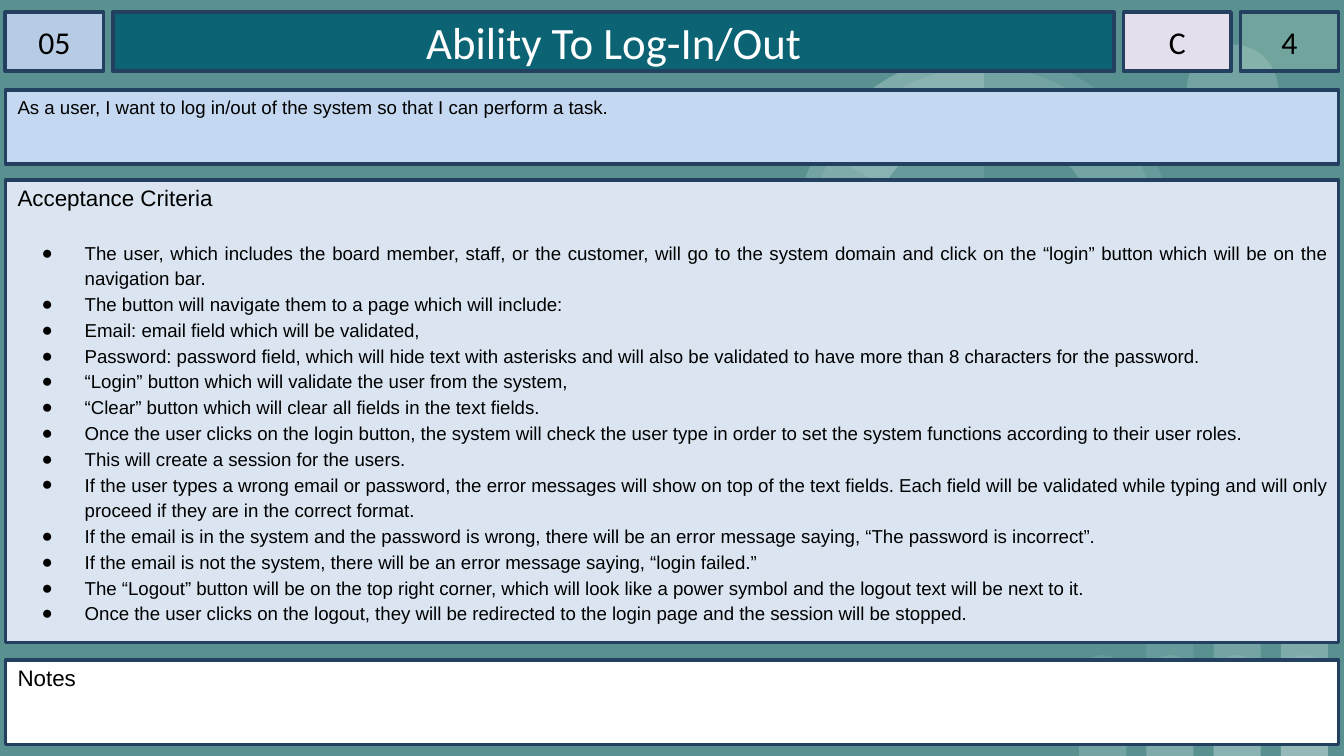
import pptx
import pptx.util
import pptx.dml.color
import pptx.enum.shapes
import pptx.enum.text
import pptx.oxml.ns
import lxml.etree

Inches = pptx.util.Inches
Pt = pptx.util.Pt
SHAPE = pptx.enum.shapes.MSO_SHAPE
ALIGN = pptx.enum.text.PP_ALIGN
ANCHOR = pptx.enum.text.MSO_ANCHOR
qn = pptx.oxml.ns.qn

BACKGROUND, BORDER = "599191", "244061"
SLIDE_WIDTH = 10
SLIDE_HEIGHT = SLIDE_WIDTH * 9 / 16
LEFT, WIDTH = 0.04, 9.92

CRITERIA = [
    "The user, which includes the board member, staff, or the customer, will go to the system domain "
    "and click on the “login” button which will be on the navigation bar.",
    "The button will navigate them to a page which will include:",
    "Email: email field which will be validated,",
    "Password: password field, which will hide text with asterisks and will also be validated to have "
    "more than 8 characters for the password.",
    "“Login” button which will validate the user from the system,",
    "“Clear” button which will clear all fields in the text fields.",
    "Once the user clicks on the login button, the system will check the user type in order to set "
    "the system functions according to their user roles.",
    "This will create a session for the users.",
    "If the user types a wrong email or password, the error messages will show on top of the text "
    "fields. Each field will be validated while typing and will only proceed if they are in the "
    "correct format.",
    "If the email is in the system and the password is wrong, there will be an error message saying, "
    "“The password is incorrect”.",
    "If the email is not the system, there will be an error message saying, “login failed.”",
    "The “Logout” button will be on the top right corner, which will look like a power symbol and "
    "the logout text will be next to it.",
    "Once the user clicks on the logout, they will be redirected to the login page and the session "
    "will be stopped.",
]


def rgb(color):
    return pptx.dml.color.RGBColor.from_string(color)


def set_fill(shape, color, opacity=100):
    shape.fill.solid()
    shape.fill.fore_color.rgb = rgb(color)
    if opacity < 100:
        tint = shape.element.spPr.find(qn("a:solidFill")).find(qn("a:srgbClr"))
        lxml.etree.SubElement(tint, qn("a:alpha"), val=str(opacity * 1000))


def add_run(paragraph, text, size, font="Arial", color="000000"):
    run = paragraph.add_run()
    run.text = text
    run.font.size = Pt(size)
    run.font.name = font
    run.font.color.rgb = rgb(color)


def style_panel(panel, box, color, opacity=100, side=0.09, top=0.04, anchor=ANCHOR.TOP):
    """Place a bordered panel and return its first paragraph."""
    panel.left, panel.top, panel.width, panel.height = map(Inches, box)
    set_fill(panel, color, opacity)
    panel.line.color.rgb = rgb(BORDER)
    panel.line.width = Pt(2)
    frame = panel.text_frame
    frame.word_wrap = True
    frame.auto_size = pptx.enum.text.MSO_AUTO_SIZE.NONE
    frame.vertical_anchor = anchor
    frame.margin_left = frame.margin_right = Inches(side)
    frame.margin_top, frame.margin_bottom = Inches(top), Inches(0.04)
    return frame.paragraphs[0]


def add_rectangle(slide, box):
    panel = slide.shapes.add_shape(SHAPE.RECTANGLE, *map(Inches, box))
    panel.shadow.inherit = False
    return panel


def set_bullet(paragraph, margin, indent, char=None):
    props = paragraph._p.get_or_add_pPr()
    props.set("marL", str(Inches(margin)))
    props.set("indent", str(Inches(indent)))
    if char is None:
        lxml.etree.SubElement(props, qn("a:buNone"))
        return
    color = lxml.etree.SubElement(props, qn("a:buClr"))
    lxml.etree.SubElement(color, qn("a:srgbClr"), val="000000")
    lxml.etree.SubElement(props, qn("a:buFont"), typeface="Arial")
    lxml.etree.SubElement(props, qn("a:buChar"), char=char)


def add_decor(group, kind, box, angles=(), rotation=0, color="FFFFFF", opacity=9):
    decor = group.shapes.add_shape(kind, *map(Inches, box))
    decor.shadow.inherit = False
    decor.line.fill.background()
    decor.rotation = rotation
    set_fill(decor, color, opacity)
    for i, angle in enumerate(angles):
        decor.adjustments[i] = angle


def add_bars(group, left, bottom):
    """Four columns of overlaid bars, each column one step taller."""
    for column in range(4):
        for step in range(1, column + 3):
            height = 0.38 * step - 0.01
            add_decor(group, SHAPE.ROUND_2_SAME_RECTANGLE,
                      (left + 0.5 * column, bottom - height, 0.35, height), (0.5, 0))


def add_circles(group, left, top, size):
    """A ring of overlaid circles and pies, with a small one to its upper right."""
    def inset(gap):
        return left + gap, top + gap, size - 2 * gap, size - 2 * gap

    small = (left + 2.92, top - 0.06, 0.68, 0.68)
    add_decor(group, SHAPE.OVAL, small, rotation=215.9)
    add_decor(group, SHAPE.PIE, small, (193.77, 123.14), 215.9)
    add_decor(group, SHAPE.OVAL, inset(0))
    add_decor(group, SHAPE.OVAL, inset(0.11), rotation=34.1)
    add_decor(group, SHAPE.PIE, inset(0), (88.01, 162))
    add_decor(group, SHAPE.OVAL, inset(0.56), rotation=34.1, color=BACKGROUND, opacity=100)
    add_decor(group, SHAPE.PIE, inset(0), (125.54, 162))


def add_backdrop(slide):
    slide.background.fill.solid()
    slide.background.fill.fore_color.rgb = rgb(BACKGROUND)
    backdrop = slide.shapes.add_group_shape()
    add_bars(backdrop, 8.03, SLIDE_HEIGHT)
    add_circles(backdrop, 5.91, 0.39, 2.82)
    # Send behind the placeholders
    backdrop.element.getparent().insert(2, backdrop.element)


def add_header(slide, top, height):
    title = style_panel(slide.shapes.title, (0.84, top, 7.45, height), "0B6374",
                        anchor=ANCHOR.MIDDLE)
    title.alignment = ALIGN.CENTER
    add_run(title, "Ability To Log-In/Out", 24, "Calibri", "FFFFFF")

    # Story number, priority and estimate
    for text, left, width, color, opacity in [("05", LEFT, 0.73, "B7CCE4", 100),
                                              ("C", 8.36, 0.8, "E5DFEC", 100),
                                              ("4", 9.23, 0.73, "CCF0CD", 20)]:
        box = (left, top, width, height)
        label = style_panel(add_rectangle(slide, box), box, color, opacity,
                            side=0, anchor=ANCHOR.MIDDLE)
        label.alignment = ALIGN.CENTER
        add_run(label, text, 17, "Calibri")


def add_text_panel(slide, box, color, text, size, top):
    paragraph = style_panel(add_rectangle(slide, box), box, color, top=top)
    paragraph.alignment = ALIGN.LEFT
    add_run(paragraph, text, size)


def add_criteria(slide, box):
    body = slide.placeholders[1]
    heading = style_panel(body, box, "DAE5F1", top=0.03)
    heading.space_before, heading.space_after = Pt(0), Pt(14.5)
    set_bullet(heading, 0, 0)
    add_run(heading, "Acceptance Criteria", 12)
    for text in CRITERIA:
        criterion = body.text_frame.add_paragraph()
        criterion.alignment = ALIGN.JUSTIFY
        criterion.line_spacing = 1.15
        criterion.space_before = Pt(0)
        set_bullet(criterion, 0.5, -0.32, "●")
        add_run(criterion, text, 10)


def main():
    deck = pptx.Presentation()
    deck.slide_width, deck.slide_height = Inches(SLIDE_WIDTH), Inches(SLIDE_HEIGHT)
    slide = deck.slides.add_slide(deck.slide_layouts[1])
    add_backdrop(slide)
    add_header(slide, 0.09, 0.44)
    add_text_panel(slide, (LEFT, 0.67, WIDTH, 0.55), "C5D8F1",
                   "As a user, I want to log in/out of the system so that I can perform a task.", 10, 0.04)
    add_criteria(slide, (LEFT, 1.34, WIDTH, 3.44))
    add_text_panel(slide, (LEFT, 4.91, WIDTH, 0.63), "FFFFFF", "Notes", 12, 0.03)
    deck.save("out.pptx")


if __name__ == "__main__":
    main()
